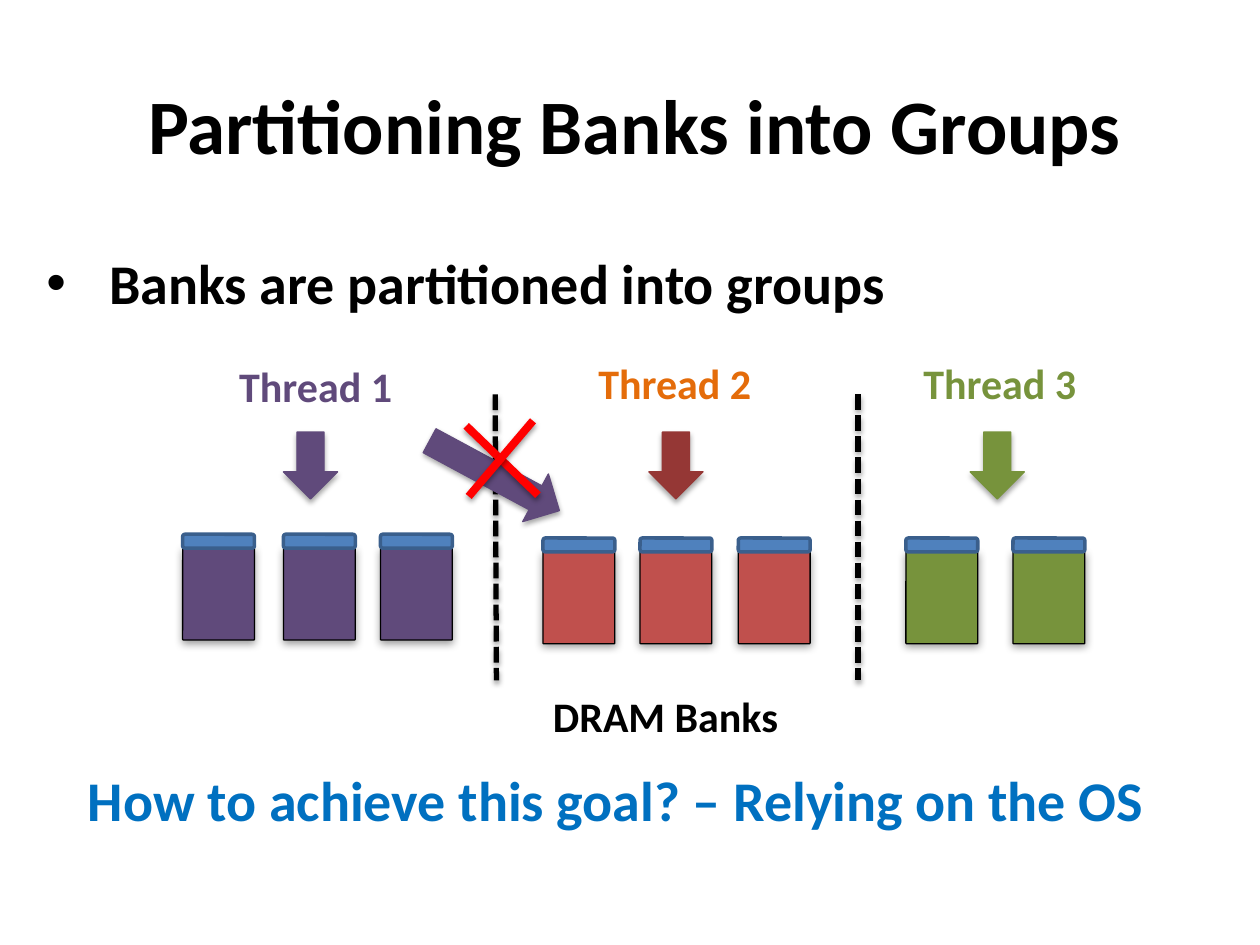
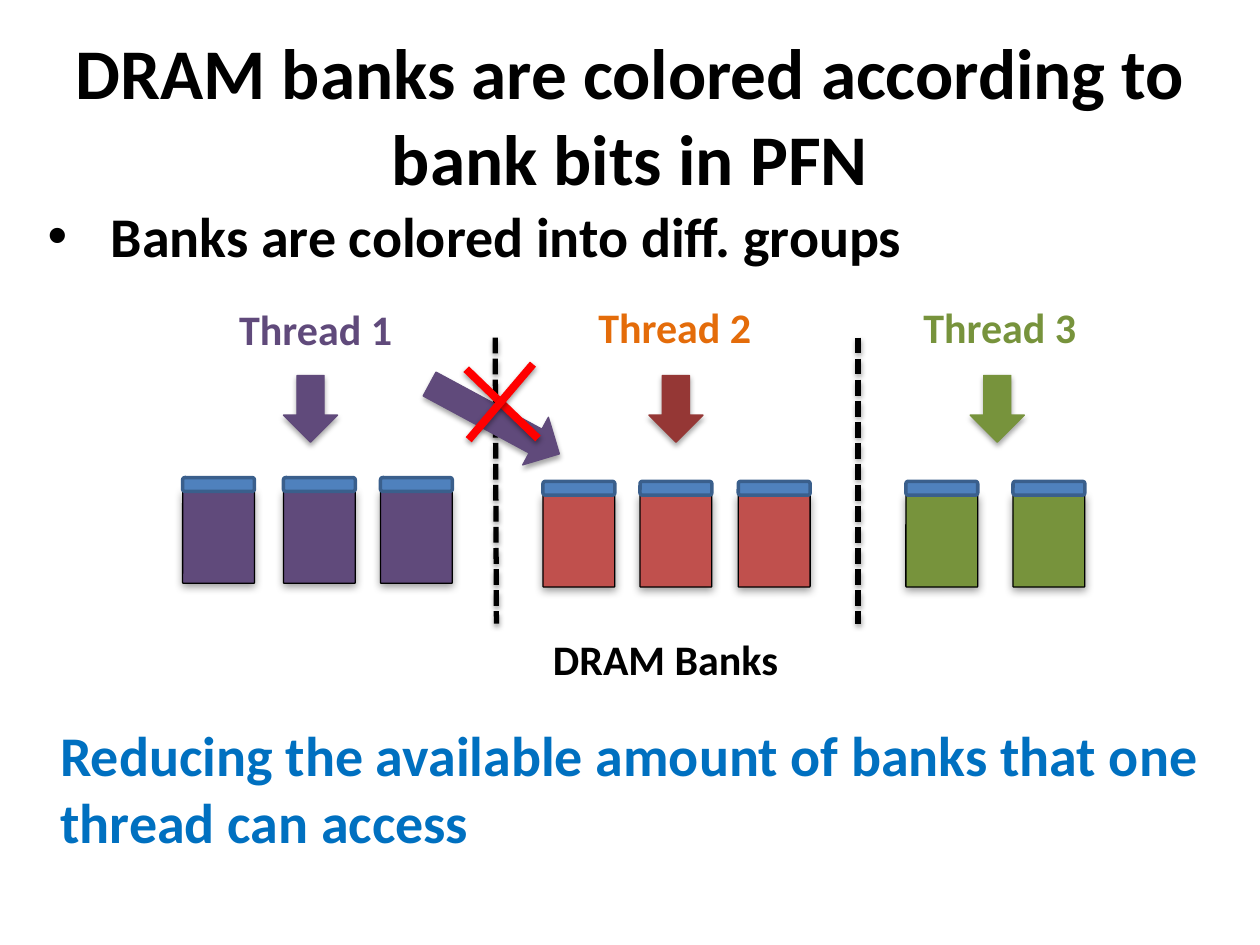
from lxml import etree
from pptx import Presentation
from pptx.dml.color import RGBColor
from pptx.enum import dml, shapes, text
from pptx.oxml.ns import qn
from pptx.util import Inches, Pt

FONT = "Calibri"
COLORS = {
    "ink": "000000",
    "purple": "604A7B",
    "orange": "E46C0A",
    "dark red": "953735",
    "red": "C0504D",
    "green": "77933C",
    "lid": "4F81BD",
    "lid edge": "3A5F8C",
    "cross": "FF0000",
    "takeaway": "0070C0",
}
# Opacity in percent, blur and distance in points
BANK_SHADOW = (38, 5, 1.6)
ARROW_SHADOW = (35, 3.1, 1.8)
LINE_SHADOW = (38, 3.1, 1.6)

BANK_WIDTH, BANK_HEIGHT, LID_HEIGHT = 0.57, 0.73, 0.11
ARROW_WIDTH, ARROW_HEIGHT = 0.43, 0.53

# Offsets down are counted from the top of the thread labels.
THREADS = [
    {"name": "Thread 1", "label": (1.8, 0.02, 1.57), "label color": "purple",
     "arrow": 2.25, "arrow color": "purple",
     "banks": (1.45, 2.25, 3.02), "banks down": 1.45, "bank color": "purple"},
    {"name": "Thread 2", "label": (4.65, 0, 2), "label color": "orange",
     "arrow": 5.15, "arrow color": "dark red",
     "banks": (4.31, 5.08, 5.86), "banks down": 1.48, "bank color": "red"},
    {"name": "Thread 3", "label": (7.23, 0, 1.63), "label color": "green",
     "arrow": 7.7, "arrow color": "green",
     "banks": (7.19, 8.04), "banks down": 1.48, "bank color": "green"},
]


def rgb(color):
    return RGBColor.from_string(COLORS[color])


def set_shadow(element, shadow):
    """Give the element its own downward shadow in place of the theme's; None removes it."""
    properties = element._element.spPr
    for old in properties.findall(qn("a:effectLst")):
        properties.remove(old)
    effects = etree.SubElement(properties, qn("a:effectLst"))
    if shadow:
        opacity, blur, distance = shadow
        outer = etree.SubElement(effects, qn("a:outerShdw"), blurRad=str(Pt(blur)),
                                 dist=str(Pt(distance)), dir="5400000", rotWithShape="0")
        ink = etree.SubElement(outer, qn("a:srgbClr"), val=COLORS["ink"])
        etree.SubElement(ink, qn("a:alpha"), val=str(opacity * 1000))


def add_text(slide, words, box, size, color="ink", align=text.PP_ALIGN.LEFT,
             anchor=text.MSO_ANCHOR.TOP, bullet=False):
    frame = slide.shapes.add_textbox(*map(Inches, box)).text_frame
    frame.word_wrap = True
    frame.vertical_anchor = anchor
    frame.text = words
    paragraph = frame.paragraphs[0]
    paragraph.alignment = align
    if bullet:
        settings = paragraph._p.get_or_add_pPr()
        settings.set("marL", str(Inches(0.5)))
        settings.set("indent", str(-Inches(0.5)))
        etree.SubElement(settings, qn("a:buFont"), typeface="Arial")
        etree.SubElement(settings, qn("a:buChar"), char="•")
    font = paragraph.runs[0].font
    font.name, font.size, font.bold = FONT, Pt(size), True
    font.color.rgb = rgb(color)


def add_title(slide, words, box, size):
    add_text(slide, words, box, size, align=text.PP_ALIGN.CENTER,
             anchor=text.MSO_ANCHOR.MIDDLE)


def add_block(slide, preset, box, fill, edge, edge_width, shadow=None):
    block = slide.shapes.add_shape(preset, *map(Inches, box))
    block.fill.solid()
    block.fill.fore_color.rgb = rgb(fill)
    block.line.color.rgb = rgb(edge)
    block.line.width = Pt(edge_width)
    set_shadow(block, shadow)
    return block


def add_bank(slide, left, top, color):
    """Draw one memory bank: a body with a lid whose top is at the given height."""
    rounded = shapes.MSO_SHAPE.ROUNDED_RECTANGLE
    body = add_block(slide, rounded, (left, top + LID_HEIGHT, BANK_WIDTH, BANK_HEIGHT),
                     color, "ink", 0.75, BANK_SHADOW)
    body.adjustments[0] = 0.013
    add_block(slide, rounded, (left, top, BANK_WIDTH, LID_HEIGHT), "lid", "lid edge", 2)


def add_arrow(slide, left, top, color, height=ARROW_HEIGHT, rotation=0):
    arrow = add_block(slide, shapes.MSO_SHAPE.DOWN_ARROW,
                      (left, top, ARROW_WIDTH, height), color, color, 0.75, ARROW_SHADOW)
    arrow.rotation = rotation


def add_line(slide, start, end, color, width, dash=None):
    line = slide.shapes.add_connector(shapes.MSO_CONNECTOR.STRAIGHT,
                                      *map(Inches, start + end))
    line.line.color.rgb = rgb(color)
    line.line.width = Pt(width)
    if dash:
        line.line.dash_style = dash
    set_shadow(line, LINE_SHADOW)


def add_bank_diagram(slide, top):
    """Draw the threads with their bank groups, and the barred access across groups."""
    for thread in THREADS:
        for left in thread["banks"]:
            add_bank(slide, left, top + thread["banks down"], thread["bank color"])
        left, down, width = thread["label"]
        add_text(slide, thread["name"], (left, top + down, width, 0.5), 24,
                 thread["label color"])
        add_arrow(slide, thread["arrow"], top + 0.64, thread["arrow color"])
    add_text(slide, "DRAM Banks", (4.29, top + 2.64, 2.19, 0.5), 24)

    for upper, lower in ((3.93, 3.94), (6.81, 6.81)):
        add_line(slide, (upper, top + 0.34), (lower, top + 2.61), "ink", 3,
                 dml.MSO_LINE.SQUARE_DOT)

    add_arrow(slide, 3.71, top + 0.4, "purple", height=1.17, rotation=298.3)
    add_line(slide, (3.7, top + 0.59), (4.27, top + 1.14), "cross", 4.5)
    add_line(slide, (3.72, top + 1.15), (4.23, top + 0.55), "cross", 4.5)


def main():
    deck = Presentation()
    deck.slide_width, deck.slide_height = Inches(10), Inches(7.5)
    blank = deck.slide_layouts[6]

    partitioning = deck.slides.add_slide(blank)
    add_title(partitioning, "Partitioning Banks into Groups", (0.54, 0.36, 9, 1.25), 44)
    add_text(partitioning, "Banks are partitioned into groups",
             (0.27, 1.92, 9.51, 0.64), 32, bullet=True)
    add_bank_diagram(partitioning, 2.79)
    add_text(partitioning, "How to achieve this goal? – Relying on the OS",
             (0, 6.03, 9.78, 0.64), 32, "takeaway", text.PP_ALIGN.CENTER)

    coloring = deck.slides.add_slide(blank)
    add_title(coloring, "DRAM banks are colored according to bank bits in PFN",
              (0, 0.28, 10, 1.25), 40.7)
    add_text(coloring, "Banks are colored into diff. groups",
             (0.28, 1.55, 9.51, 0.64), 32, bullet=True)
    add_bank_diagram(coloring, 2.34)
    add_text(coloring, "Reducing the available amount of banks that one thread can access",
             (0.38, 5.67, 9.72, 1.18), 32, "takeaway")

    deck.save("out.pptx")


if __name__ == "__main__":
    main()
